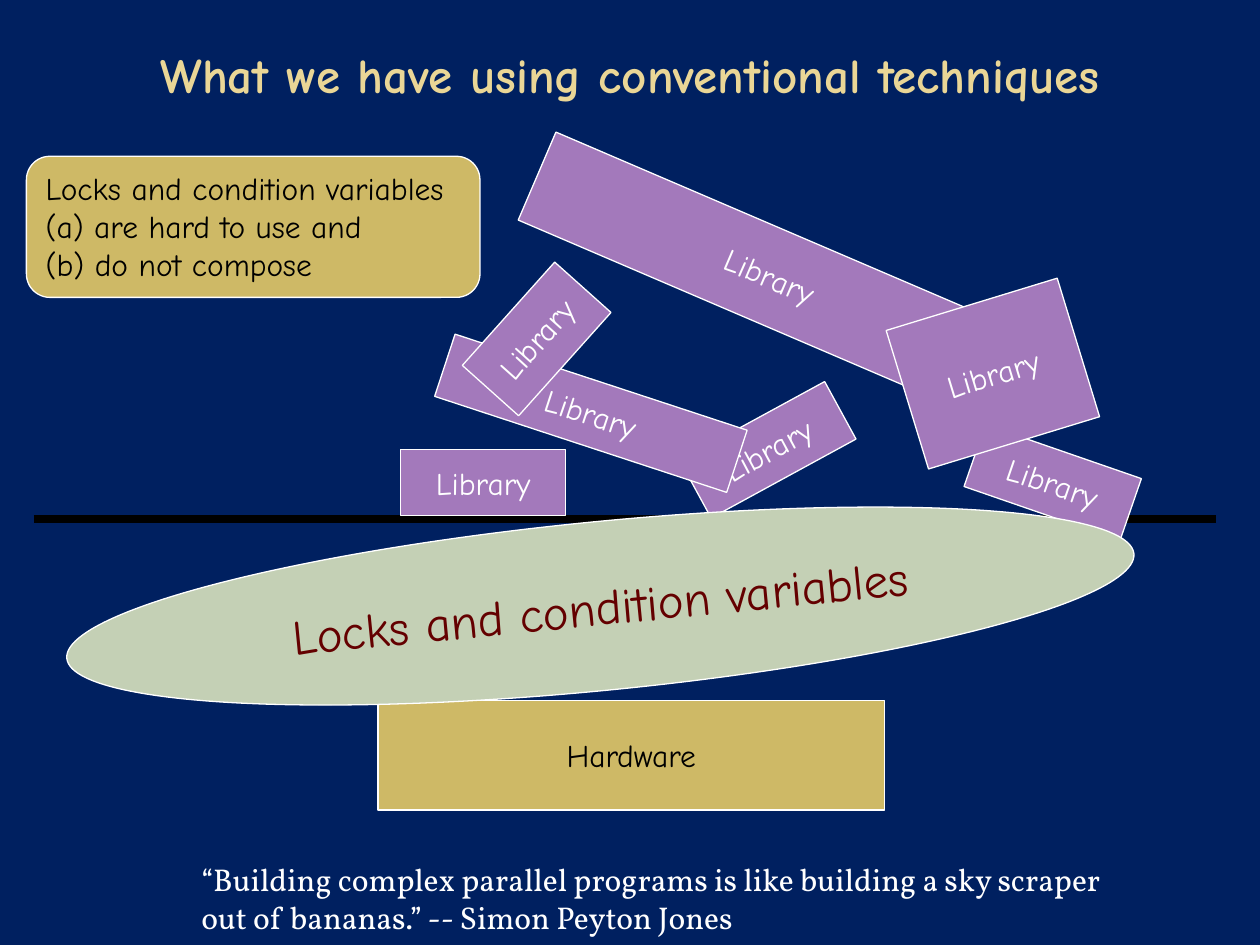
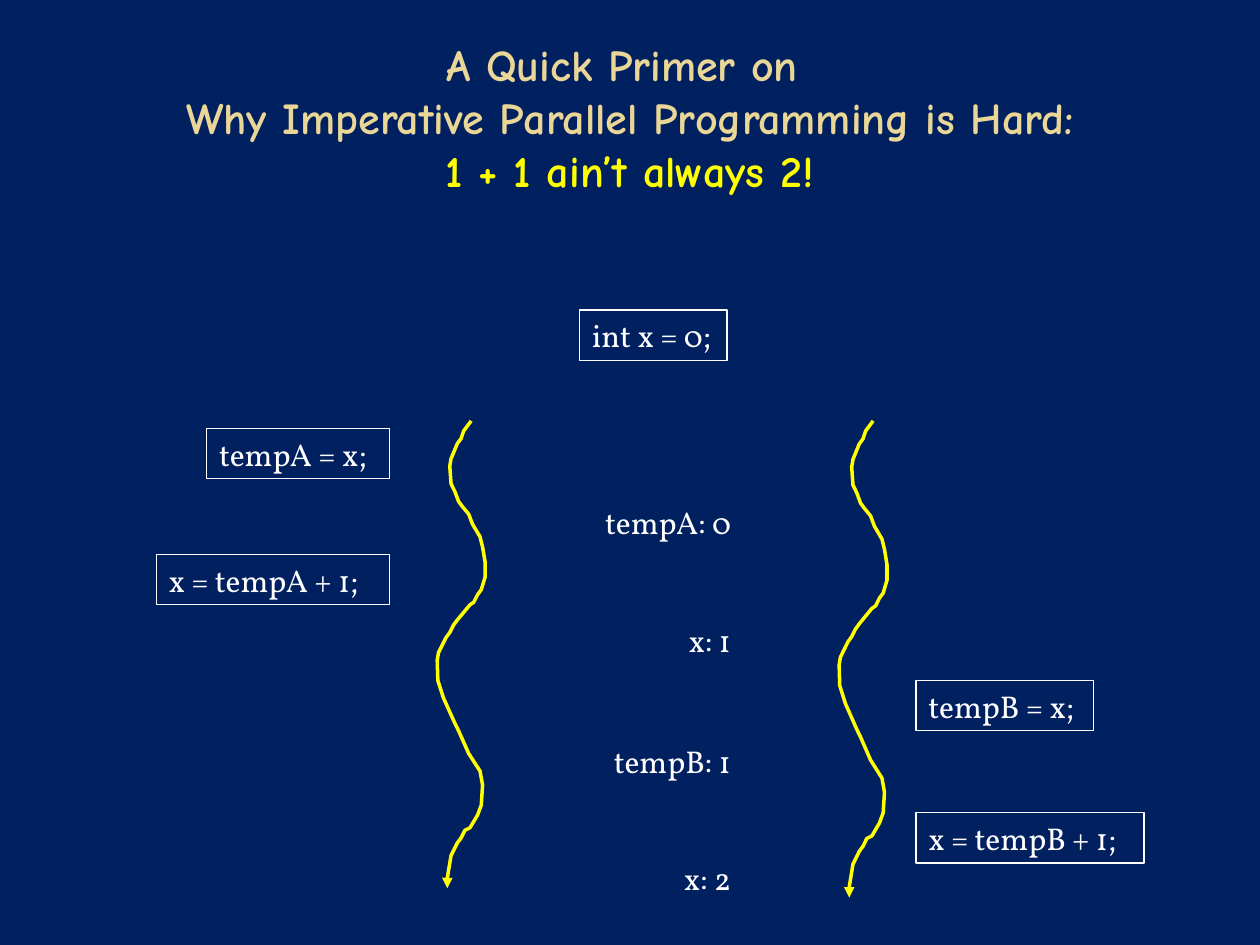
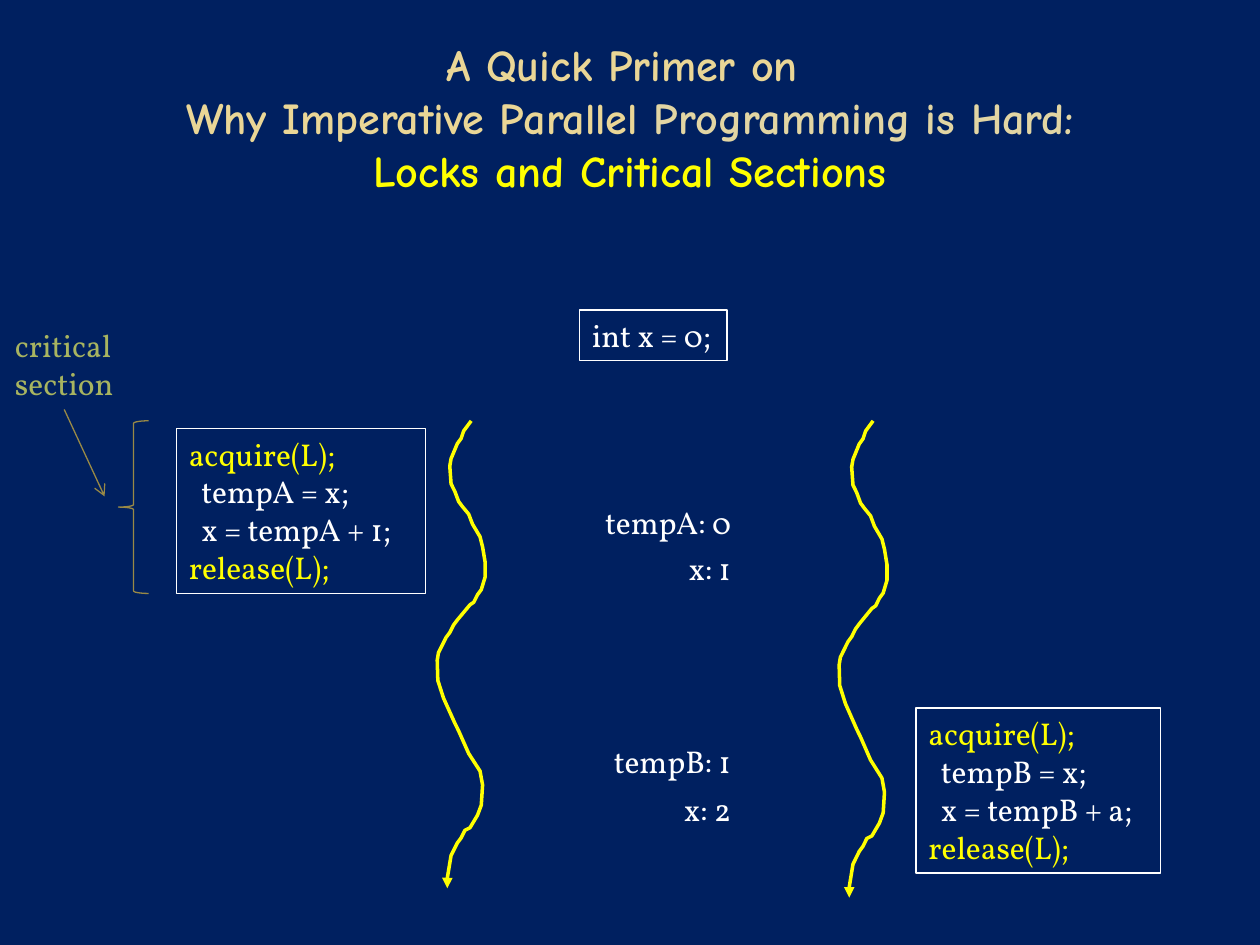
from lxml.etree import SubElement
from pptx import Presentation
from pptx.dml.color import RGBColor
from pptx.enum.shapes import MSO_CONNECTOR, MSO_SHAPE
from pptx.enum.text import MSO_ANCHOR, PP_ALIGN
from pptx.oxml.ns import qn
from pptx.util import Inches, Pt

COLS, ROWS = 100, 75
CELL = Inches(0.1)
HAND, SERIF = "Comic Neue", "Vollkorn"
NAVY, WHITE, BLACK, YELLOW = "002060", "FFFFFF", "000000", "FFFF00"
GOLD, PALE_GOLD, SAND, OLIVE, MOSS = "EAD696", "E2D5A3", "CEB966", "998946", "A8B460"
PURPLE, SAGE, MAROON = "A379BB", "C4D0B5", "640000"

LIBRARIES = [
    (31.8, 35.7, 13.1, 5.2, 0),
    (54.4, 33.1, 13.1, 5.2, -28.6),
    (77, 35.7, 13.1, 5.2, 19.1),
    (34.7, 30.2, 24.4, 5.2, 18.2),
    (37.1, 23.9, 11, 6, -48.2),
    (41, 18.1, 40.2, 7.6, 23.2),
    (71.7, 23.9, 14.2, 11.5, -17),
]
WAVE = [
    (2.7, 0), (2.1, 0.8), (1.9, 1.4), (1.6, 1.8), (1.1, 3), (1, 3.6),
    (1.1, 5), (1.4, 5.6), (1.7, 6.4), (2, 6.8), (2.5, 7.4), (2.8, 8.2),
    (3.4, 9.2), (3.6, 10), (3.8, 11.2), (3.8, 12.4), (3.5, 13.4),
    (3.2, 13.8), (2.9, 14.4), (2.6, 14.6), (1.6, 15.8), (1.3, 16.2),
    (1, 16.8), (0.7, 17.2), (0.1, 18.4), (0, 19), (0.05, 20.6), (0.5, 22),
    (1.4, 24), (1.7, 24.6), (2.5, 26.4), (3.4, 27.8), (3.6, 28.9),
    (3.5, 30.5), (3.2, 31.3), (2.6, 32.3), (2.2, 32.5), (1.9, 33.1),
    (1.6, 33.5), (1.1, 34.5), (0.9, 35.7), (0.8, 36.3), (0.8, 37.1),
]


def rgb(value):
    return RGBColor.from_string(value)


def place(x, y, w, h):
    return [round(n * CELL) for n in (x, y, w, h)]


def set_line(shape, color, width=0.75, arrow=None):
    shape.line.color.rgb = rgb(color)
    shape.line.width = Pt(width)
    if arrow:
        SubElement(shape.line._get_or_add_ln(), qn("a:tailEnd"), type=arrow)


def write(shape, paragraphs, size=18, font=SERIF, bold=False,
          align=PP_ALIGN.LEFT, anchor=MSO_ANCHOR.TOP):
    tf = shape.text_frame
    tf.word_wrap = True
    tf.vertical_anchor = anchor
    for i, runs in enumerate(paragraphs):
        p = tf.paragraphs[0] if i == 0 else tf.add_paragraph()
        p.alignment = align
        for text, color in runs:
            for j, part in enumerate(text.split("\n")):
                if j:
                    p.add_line_break()
                if part:
                    r = p.add_run()
                    r.text = part
                    r.font.name, r.font.size, r.font.bold = font, Pt(size), bold
                    r.font.color.rgb = rgb(color)


def add_slide(prs):
    s = prs.slides.add_slide(prs.slide_layouts[6])
    s.background.fill.solid()
    s.background.fill.fore_color.rgb = rgb(NAVY)
    return s


def add_title(s, runs, size=25.2, anchor=MSO_ANCHOR.MIDDLE):
    box = s.shapes.add_textbox(*place(5, 3, COLS - 10, 12.5))
    write(box, [runs], size, HAND, True, PP_ALIGN.CENTER, anchor)


def add_outline(s, kind, box, fill=None, line=WHITE):
    sp = s.shapes.add_shape(kind, *place(*box))
    sp.shadow.inherit = False
    if fill:
        sp.fill.solid()
        sp.fill.fore_color.rgb = rgb(fill)
    else:
        sp.fill.background()
    set_line(sp, line)
    return sp


def add_block(s, kind, box, fill, text, color, size=18, angle=0):
    sp = add_outline(s, kind, box, fill)
    sp.rotation = angle
    write(sp, [[(text, color)]], size, HAND, align=PP_ALIGN.CENTER, anchor=MSO_ANCHOR.MIDDLE)


def add_note(s, box, lines, color=WHITE):
    sp = s.shapes.add_textbox(*place(*box))
    sp.text_frame.margin_right = 0
    write(sp, [[(text, color)] for text in lines])
    return sp


def add_code(s, box, *lines):
    sp = add_outline(s, MSO_SHAPE.RECTANGLE, box)
    sp.text_frame.margin_right = 0
    write(sp, [[line] for line in lines])


def add_state(s, y, text):
    w = 13
    sp = s.shapes.add_textbox(*place(59 - w, y, w, 4))
    sp.text_frame.margin_left = 0
    write(sp, [[(text, WHITE)]], align=PP_ALIGN.RIGHT)


def add_connector(s, start, end, color, width, arrow=None):
    c = s.shapes.add_connector(MSO_CONNECTOR.STRAIGHT, *place(*start, *end))
    set_line(c, color, width, arrow)
    SubElement(c._element.spPr, qn("a:effectLst"))
    return c


def add_thread(s, x, y, stretch=1):
    points = [((x + dx) * CELL, (y + dy * stretch) * CELL) for dx, dy in WAVE]
    builder = s.shapes.build_freeform(*points[0])
    builder.add_line_segments(points[1:], close=False)
    sp = builder.convert_to_shape()
    sp.shadow.inherit = False
    sp.fill.background()
    set_line(sp, YELLOW, 2, "triangle")


def add_primer(prs, title, states):
    s = add_slide(prs)
    add_title(s, title)
    add_code(s, (46, 24.6, 11.7, 4), ("int x = 0;", WHITE))
    add_thread(s, 34.7, 33.4)
    add_thread(s, 66.6, 33.4, 1.02)
    for y, text in states:
        add_state(s, y, text)
    return s


def add_locked(s, box, *body):
    add_code(s, box, ("acquire(L);", YELLOW), *[("  " + line, WHITE) for line in body],
             ("release(L);", YELLOW))


def conventional_slide(prs):
    s = add_slide(prs)
    add_connector(s, (2.7, 41.2), (96.5, 41.2), BLACK, 4.5)
    add_title(s, [("What we have using conventional techniques", GOLD)], 28, MSO_ANCHOR.TOP)
    add_block(s, MSO_SHAPE.RECTANGLE, (30, 55.6, 40.2, 8.7), SAND, "Hardware", BLACK)
    for *box, angle in LIBRARIES:
        add_block(s, MSO_SHAPE.RECTANGLE, box, PURPLE, "Library", WHITE, angle=angle)
    add_block(s, MSO_SHAPE.OVAL, (5.1, 41.4, 85.1, 13.4), SAGE,
              "Locks and condition variables", MAROON, 28, -5.6)
    callout = add_outline(s, MSO_SHAPE.ROUNDED_RECTANGULAR_CALLOUT, (2.1, 12.4, 36, 11.2), SAND)
    callout.adjustments[0], callout.adjustments[1] = 0.25, 0.5
    write(callout, [[("Locks and condition variables\n(a) are hard to use and\n"
                      "(b) do not compose", BLACK)]], font=HAND)
    add_note(s, (15, 67.8, 76.3, 7.1),
             ["“Building complex parallel programs is like building a sky scraper",
              "out of bananas.” -- Simon Peyton Jones"])


def race_slide(prs):
    s = add_primer(
        prs,
        [("A Quick Primer on \nWhy Imperative Parallel Programming is Hard:\n", GOLD),
         ("1 + 1 ain’t always 2!", YELLOW)],
        [(39.4, "tempA: 0"), (48.8, "x: 1"), (58.4, "tempB: 1"), (67.7, "x: 2")])
    for x, y, w, text in [(16.4, 34, 14.5, "tempA = x;"), (12.4, 44, 18.5, "x = tempA + 1;"),
                          (72.7, 54, 14.1, "tempB = x;"), (72.7, 64.5, 18.1, "x = tempB + 1;")]:
        add_code(s, (x, y, w, 4), (text, WHITE))


def locks_slide(prs):
    s = add_primer(
        prs,
        [("A Quick Primer on \nWhy Imperative Parallel ", GOLD),
         ("Programming is Hard:\n", PALE_GOLD), ("Locks and Critical Sections", YELLOW)],
        [(39.4, "tempA: 0"), (43.1, "x: 1"), (58.4, "tempB: 1"), (62.2, "x: 2")])
    add_locked(s, (14, 34, 19.8, 13.1), "tempA = x;", "x = tempA + 1;")
    add_locked(s, (72.7, 56.2, 19.4, 13.1), "tempB = x;", "x = tempB + a;")
    add_outline(s, MSO_SHAPE.LEFT_BRACE, (9.4, 33.4, 2.4, 13.7), line=OLIVE)
    label = add_note(s, (0.2, 25.4, 9.8, 7.1), ["critical", "section"], MOSS)
    arrow = add_connector(s, (4.8, 32.6), (8.3, 39.4), OLIVE, 0.75, "arrow")
    arrow.begin_connect(label, 2)


def main():
    prs = Presentation()
    prs.slide_width, prs.slide_height = COLS * CELL, ROWS * CELL
    conventional_slide(prs)
    race_slide(prs)
    locks_slide(prs)
    prs.save("out.pptx")


if __name__ == "__main__":
    main()
